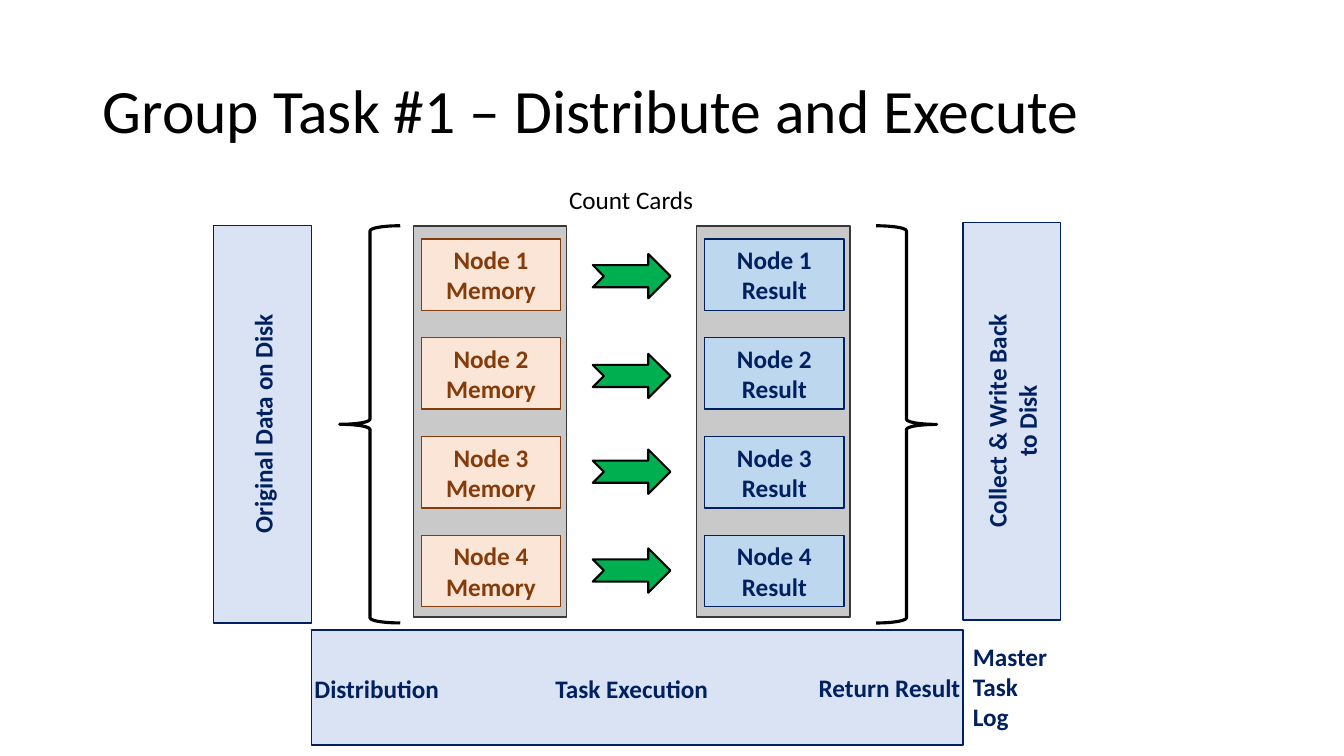
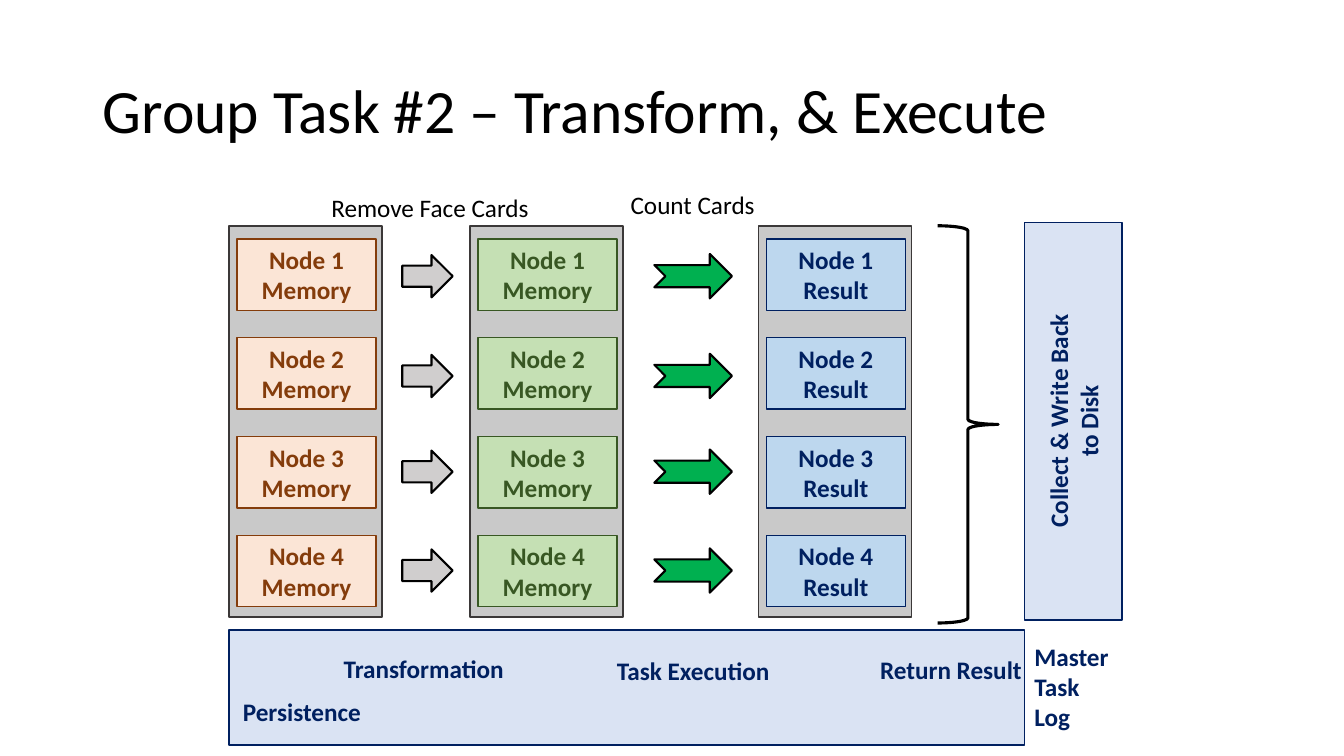
from pptx import Presentation
from pptx.dml.color import RGBColor
from pptx.enum.shapes import MSO_SHAPE
from pptx.enum.text import MSO_ANCHOR, PP_ALIGN
from pptx.util import Emu, Pt

RECTANGLE = MSO_SHAPE.RECTANGLE
LEFT_BRACE = MSO_SHAPE.LEFT_BRACE
RIGHT_ARROW = MSO_SHAPE.RIGHT_ARROW
NOTCHED_ARROW = MSO_SHAPE.NOTCHED_RIGHT_ARROW
LEFT, CENTER = PP_ALIGN.LEFT, PP_ALIGN.CENTER
TOP, MIDDLE = MSO_ANCHOR.TOP, MSO_ANCHOR.MIDDLE

EMU_PER_PX = 9144  # 100 px to the inch
TITLE_ONLY = 5

FONT = "Calibri"
BLACK, NAVY = "000000", "002060"
PALE_BLUE = "DAE3F3"
PANEL_FILL, PANEL_LINE = "C9C9C9", "3B3838"
GREEN, GRAY = "00B050", "D0CECE"
# Fill of the node, then colour of its outline and text
ORANGE_NODE = ("FBE5D6", "843C0B")
GREEN_NODE = ("C5E0B4", "385723")
BLUE_NODE = ("BDD7EE", NAVY)

COLUMN_TOP = 224
NODE_TOP, NODE_PITCH, NODE_COUNT = 237, 98, 4
ARROW_CENTERS = (274, 373, 468, 566)
SIDE_WIDTH, SIDE_HEIGHT = 97, 394


def px(length):
    return Emu(length * EMU_PER_PX)


def color(hex_string):
    return RGBColor.from_string(hex_string)


def write(frame, text, size=18, ink=NAVY, bold=True, align=LEFT,
          anchor=TOP, line_spacing=None):
    """Fill a text frame, one paragraph for each line of the text."""
    frame.word_wrap = True
    frame.vertical_anchor = anchor
    for index, line in enumerate(text.split("\n")):
        paragraph = frame.add_paragraph() if index else frame.paragraphs[0]
        paragraph.alignment = align
        paragraph.line_spacing = line_spacing
        run = paragraph.add_run()
        run.text = line
        run.font.name = FONT
        run.font.size = Pt(size)
        run.font.bold = bold
        run.font.color.rgb = color(ink)


class TaskDeck:
    def __init__(self):
        self.presentation = Presentation()
        self.presentation.slide_width = px(1333)
        self.presentation.slide_height = px(750)
        self.slide = None

    def new_slide(self, title):
        layout = self.presentation.slide_layouts[TITLE_ONLY]
        self.slide = self.presentation.slides.add_slide(layout)
        shape = self.slide.shapes.title
        shape.left, shape.top = px(92), px(40)
        shape.width, shape.height = px(1150), px(145)
        write(shape.text_frame, title, size=44, ink=BLACK, bold=False,
              anchor=MIDDLE, line_spacing=0.9)

    def shape(self, kind, left, top, width, height, fill=None,
              line=BLACK, line_width=1):
        shape = self.slide.shapes.add_shape(
            kind, px(left), px(top), px(width), px(height))
        shape.shadow.inherit = False
        if fill:
            shape.fill.solid()
            shape.fill.fore_color.rgb = color(fill)
        else:
            shape.fill.background()
        shape.line.color.rgb = color(line)
        shape.line.width = Pt(line_width)
        return shape

    def label(self, text, left, top, width, height=40, **text_format):
        box = self.slide.shapes.add_textbox(
            px(left), px(top), px(width), px(height))
        write(box.text_frame, text, **text_format)
        return box

    def caption(self, text, left, top, width):
        self.label(text, left, top, width, ink=BLACK, bold=False, align=CENTER)

    def node_column(self, left, kind, node_colors):
        fill, ink = node_colors
        self.shape(RECTANGLE, left, COLUMN_TOP, 152, 388, PANEL_FILL, PANEL_LINE)
        for index in range(NODE_COUNT):
            node = self.shape(RECTANGLE, left + 8, NODE_TOP + index * NODE_PITCH,
                              138, 71, fill, ink)
            write(node.text_frame, f"Node {index + 1}\n{kind}", ink=ink,
                  align=CENTER, anchor=MIDDLE)

    def arrow_column(self, kind, left, width, height, fill):
        for center in ARROW_CENTERS:
            self.shape(kind, left, center - height // 2, width, height, fill,
                       line_width=1.5)

    def brace(self, left, rotation=0):
        brace = self.shape(LEFT_BRACE, left, COLUMN_TOP, 60, SIDE_HEIGHT,
                           line_width=2.25)
        brace.rotation = rotation

    def disk_bar(self, text, left, top):
        """Draw a tall bar with text that reads upwards at its centre."""
        self.shape(RECTANGLE, left, top, SIDE_WIDTH, SIDE_HEIGHT, PALE_BLUE, NAVY)
        width, height = 253, 71
        box = self.label(text, left + (SIDE_WIDTH - width) // 2,
                         top + (SIDE_HEIGHT - height) // 2, width, height,
                         align=CENTER, anchor=MIDDLE)
        box.rotation = 270

    def execution_stage(self, left, log_left, caption_top, log_label_top):
        """Draw the result column at left with all that surrounds it."""
        disk_left = left + 264
        self.shape(RECTANGLE, log_left, 625, disk_left - log_left, 114,
                   PALE_BLUE, NAVY)
        self.label("Master\nTask\nLog", disk_left, 631, 108, 101)
        self.label("Task Execution", left - 150, log_label_top, 172)
        self.label("Return Result", left + 111, log_label_top - 1, 172)
        self.caption("Count Cards", left - 140, caption_top, 150)
        self.arrow_column(NOTCHED_ARROW, left - 103, 77, 44, GREEN)
        self.node_column(left, "Result", BLUE_NODE)
        self.brace(left + 178, rotation=180)
        self.disk_bar("Collect & Write Back to Disk", disk_left, 221)


def distribute_slide(deck):
    deck.new_slide("Group Task #1 – Distribute and Execute")
    deck.execution_stage(691, log_left=309, caption_top=178, log_label_top=663)
    deck.disk_bar("Original Data on Disk", 212, COLUMN_TOP)
    deck.brace(337)
    deck.node_column(410, "Memory", ORANGE_NODE)
    deck.label("Distribution", 302, 663, 150)


def transform_slide(deck):
    deck.new_slide("Group Task #2 – Transform, & Execute")
    deck.execution_stage(752, log_left=227, caption_top=183, log_label_top=645)
    deck.node_column(227, "Memory", ORANGE_NODE)
    deck.arrow_column(RIGHT_ARROW, 399, 50, 42, GRAY)
    deck.node_column(466, "Memory", GREEN_NODE)
    deck.caption("Remove Face Cards", 310, 186, 233)
    deck.label("Transformation", 331, 643, 184)
    deck.label("Persistence", 231, 686, 150)


def main():
    deck = TaskDeck()
    distribute_slide(deck)
    transform_slide(deck)
    deck.presentation.save("out.pptx")


if __name__ == "__main__":
    main()
